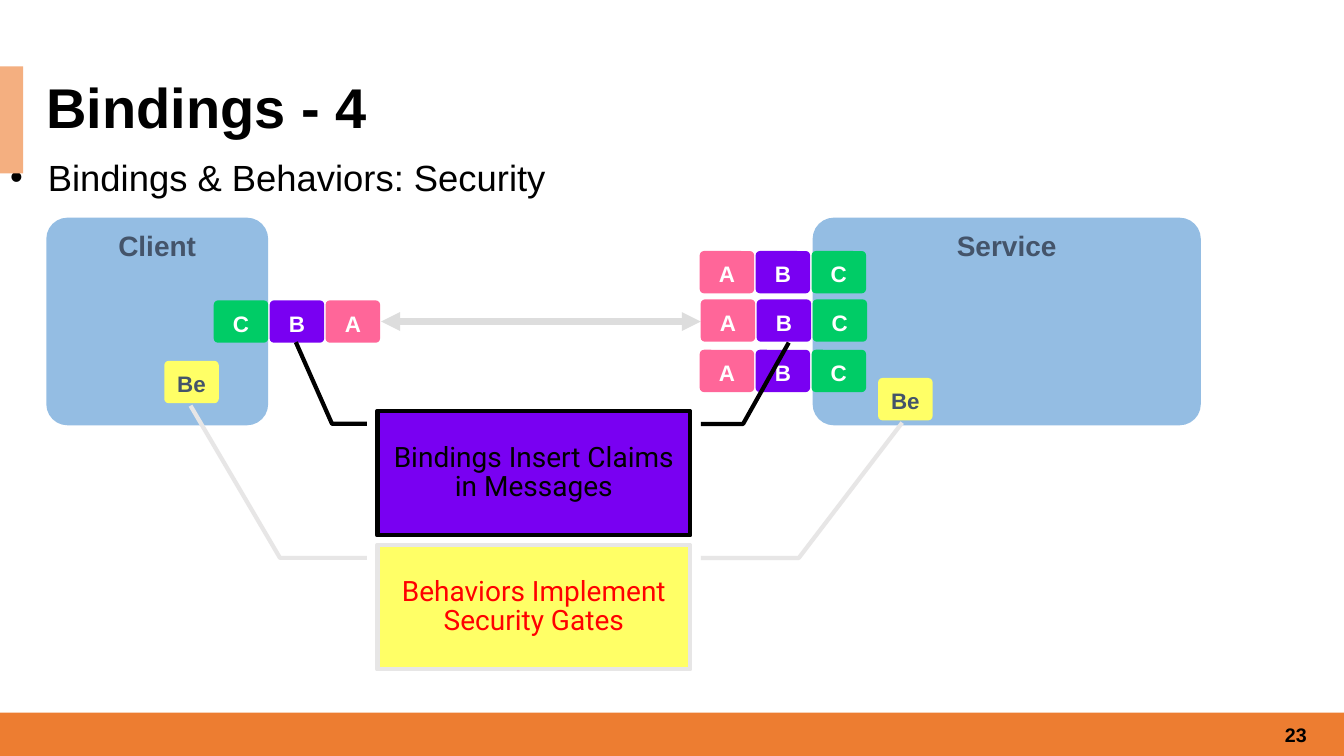
from lxml.etree import SubElement
from pptx import Presentation
from pptx.dml.color import RGBColor
from pptx.enum.shapes import MSO_CONNECTOR, MSO_SHAPE
from pptx.enum.text import MSO_ANCHOR, MSO_AUTO_SIZE, PP_ALIGN
from pptx.oxml.ns import qn
from pptx.util import Inches, Pt

WIDTH, HEIGHT = 13.33, 7.5
TITLE = "Bindings - 4"
BULLET = "Bindings & Behaviors: Security"
PAGE_NUMBER = "23"
BANDS = [(0, 7.07, WIDTH, 0.44, "ED7D31"), (0, 0.66, 0.23, 1.06, "F4AF80")]
HOSTS = [("Service", 8.06, 3.85), ("Client", 0.46, 2.2)]
HOST_TOP, HOST_HEIGHT = 2.16, 2.06
TILE_WIDTH, TILE_HEIGHT, TILE_STEP = 0.54, 0.42, 0.555
TILE_COLORS = {"A": "FF6699", "B": "7900F2", "C": "00CC66"}
TILE_ROWS = [
    ("ABC", 6.94, 2.49),
    ("ABC", 6.95, 2.97),
    ("ABC", 6.94, 3.47),
    ("CBA", 2.12, 2.98),
]
BEHAVIORS = [(8.71, 3.75), (1.63, 3.58)]
CALLOUTS = [
    ("Bindings Insert Claims in Messages", 4.08, "7900F2", "000000", "000000", 65,
     [0.898, -0.036, 0.898, -0.171, 1.554, -0.317],
     [0.102, -0.036, 0.102, -0.148, -0.557, -0.264]),
    ("Behaviors Implement Security Gates", 5.41, "FFFF66", "E7E6E6", "FF0000", 100,
     [0.898, -0.036, 0.898, -0.349, 1.99, -0.68],
     [0.102, -0.036, 0.102, -0.315, -1.126, -0.602]),
]


def color(value):
    return RGBColor.from_string(value)


def place(shape, left, top, width, height):
    shape.left, shape.top = Inches(left), Inches(top)
    shape.width, shape.height = Inches(width), Inches(height)


def write(shape, text, size, text_color, bold=False, align=PP_ALIGN.CENTER,
          anchor=MSO_ANCHOR.MIDDLE, font="Arial", spacing=1.0, wrap=True):
    frame = shape.text_frame
    frame.text = text
    frame.word_wrap = wrap
    frame.auto_size = MSO_AUTO_SIZE.NONE
    frame.vertical_anchor = anchor
    paragraph = frame.paragraphs[0]
    paragraph.alignment = align
    paragraph.line_spacing = spacing
    paragraph.space_before = Pt(0)
    paragraph.font.name = font
    paragraph.font.size = Pt(size)
    paragraph.font.bold = bold
    paragraph.font.color.rgb = color(text_color)


def add_box(kind, left, top, width, height, fill, opacity=100, line=None):
    shape = slide.shapes.add_shape(
        kind, Inches(left), Inches(top), Inches(width), Inches(height))
    shape.shadow.inherit = False
    shape.fill.solid()
    shape.fill.fore_color.rgb = color(fill)
    if opacity < 100:
        fill_color = shape.fill._xPr.find(qn("a:solidFill"))[0]
        SubElement(fill_color, qn("a:alpha"), val=str(opacity * 1000))
    if line:
        shape.line.color.rgb = color(line)
        shape.line.width = Pt(3)
    else:
        shape.line.fill.background()
    return shape


def add_rounded(left, top, width, height, fill, opacity=100):
    shape = add_box(MSO_SHAPE.ROUNDED_RECTANGLE, left, top, width, height, fill, opacity)
    shape.adjustments[0] = 0.102
    return shape


def add_tile(text, left, top, fill, text_color="FFFFFF"):
    tile = add_rounded(left, top, TILE_WIDTH, TILE_HEIGHT, fill)
    write(tile, text, 16, text_color, True, anchor=MSO_ANCHOR.BOTTOM, wrap=False)


def add_callout(left, top, width, fill, line, leader, opacity=100):
    shape = add_box(MSO_SHAPE.LINE_CALLOUT_2, left, top, width, 1.23, fill, opacity, line)
    for index, value in enumerate(leader):
        shape.adjustments[index] = value
    return shape


presentation = Presentation()
presentation.slide_width, presentation.slide_height = Inches(WIDTH), Inches(HEIGHT)
slide = presentation.slides.add_slide(presentation.slide_layouts[1])
title, body = slide.placeholders

place(title, 0.36, 0.74, 12.97, 0.71)
write(title, TITLE, 40, "000000", True, PP_ALIGN.LEFT, spacing=0.9)

place(body, 0, 1.45, WIDTH, 5.59)
properties = body.text_frame.paragraphs[0]._p.get_or_add_pPr()
properties.set("marL", str(Inches(0.38)))
properties.set("indent", str(-Inches(0.38)))
SubElement(SubElement(properties, qn("a:buClr")), qn("a:srgbClr"), val="973735")
SubElement(properties, qn("a:buSzPct"), val="50000")
SubElement(properties, qn("a:buFont"), typeface="Arial")
SubElement(properties, qn("a:buChar"), char="◆")
write(body, BULLET, 26, "000000", align=PP_ALIGN.JUSTIFY,
      anchor=MSO_ANCHOR.TOP, spacing=1.1)

for left, top, width, height, fill in BANDS:
    add_box(MSO_SHAPE.RECTANGLE, left, top, width, height, fill)
number = slide.shapes.add_textbox(Inches(10.06), Inches(7.09), Inches(3), Inches(0.4))
write(number, PAGE_NUMBER, 14, "000000", True, PP_ALIGN.RIGHT)

for name, left, width in HOSTS:
    host = add_rounded(left, HOST_TOP, width, HOST_HEIGHT, "5B9BD5", 65)
    write(host, name, 20, "44546A", True, anchor=MSO_ANCHOR.TOP, wrap=False)

arrow = slide.shapes.add_connector(
    MSO_CONNECTOR.STRAIGHT, Inches(3.78), Inches(3.19), Inches(6.95), Inches(3.19))
arrow.line.color.rgb = color("DDDDDD")
arrow.line.width = Pt(4.5)
for end in ("a:headEnd", "a:tailEnd"):
    SubElement(arrow.line._get_or_add_ln(), qn(end), type="triangle")
SubElement(arrow._element.spPr, qn("a:effectLst"))

for letters, left, top in TILE_ROWS:
    for column, letter in enumerate(letters):
        add_tile(letter, left + column * TILE_STEP, top, TILE_COLORS[letter])
for left, top in BEHAVIORS:
    add_tile("Be", left, top, "FFFF66", "44546A")

for text, top, fill, line, text_color, opacity, right_leader, left_leader in CALLOUTS:
    add_callout(3.74, top, 3.1, fill, line, right_leader, opacity).rotation = 180
    callout = add_callout(3.75, top, 3.09, fill, line, left_leader)
    write(callout, text, 20, text_color, font="Roboto", spacing=0.85)

presentation.save("out.pptx")
